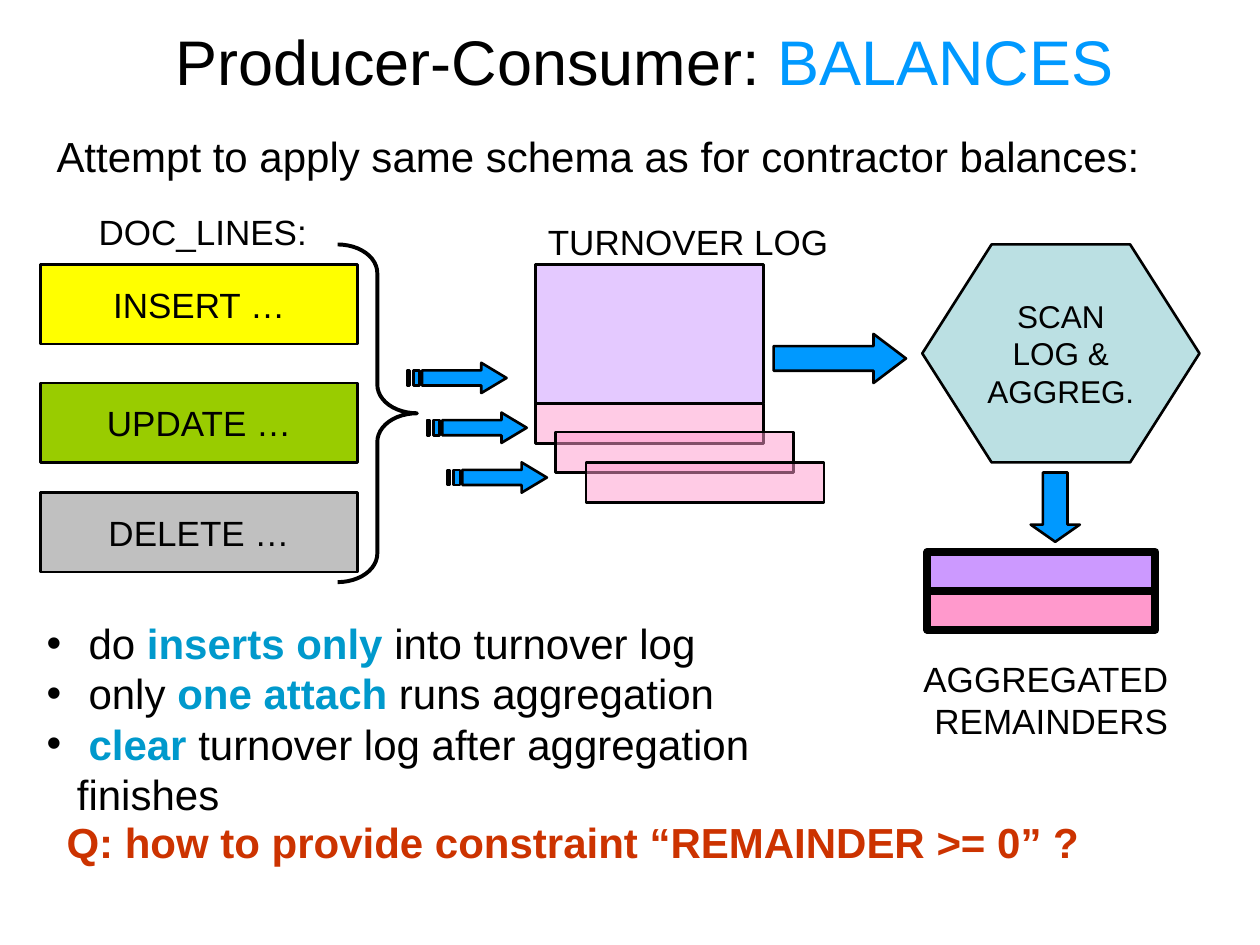
"""Build the producer-consumer slide about balances."""
from dataclasses import dataclass
from typing import Optional

from lxml.etree import SubElement
from pptx import Presentation
from pptx.dml.color import RGBColor
from pptx.enum.shapes import MSO_SHAPE
from pptx.enum.text import MSO_ANCHOR, MSO_AUTO_SIZE, PP_ALIGN
from pptx.oxml.ns import qn
from pptx.util import Inches, Pt

COLUMNS, ROWS = 100, 75
CELL = Inches(10) // COLUMNS


@dataclass(frozen=True)
class Theme:
    font: str = "Arial"
    title: int = 36
    body: int = 24
    label: int = 20
    small: int = 18
    leading: float = 1.2
    line: float = 1.5
    ink: str = "000000"
    blue: str = "0099FF"
    accent: str = "0099CC"
    question: str = "CC3300"
    yellow: str = "FFFF00"
    green: str = "99CC00"
    gray: str = "C0C0C0"
    violet: str = "CC99FF"
    pink: str = "FF99CC"
    teal: str = "BBE0E3"


THEME = Theme()


@dataclass(frozen=True)
class Area:
    column: float
    row: float
    columns: float
    rows: float

    def lengths(self) -> tuple:
        return tuple(round(n * CELL) for n in (self.column, self.row, self.columns, self.rows))


@dataclass(frozen=True)
class Span:
    text: str
    color: str = THEME.ink
    bold: bool = False


@dataclass(frozen=True)
class Figure:
    kind: MSO_SHAPE
    area: Area
    fill: Optional[str] = None
    opacity: int = 100
    line: float = THEME.line
    adjustments: tuple = ()
    lines: tuple = ()
    size: int = THEME.label
    wrap: bool = False


@dataclass(frozen=True)
class Label:
    text: str
    area: Area
    size: int = THEME.label
    align: PP_ALIGN = PP_ALIGN.LEFT
    color: str = THEME.ink
    bold: bool = False


BOX = MSO_SHAPE.RECTANGLE
STATEMENTS = (
    ("INSERT …", 21, THEME.yellow),
    ("UPDATE …", 30.4, THEME.green),
    ("DELETE …", 39.1, THEME.gray),
)
SLIPS = ((44.1, 34.3), (46.5, 36.7))
FIGURES = (
    *(Figure(BOX, Area(3.2, row, 25.2, 6.3), fill, lines=(text,)) for text, row, fill in STATEMENTS),
    Figure(MSO_SHAPE.RIGHT_BRACE, Area(26.8, 19.4, 6.3, 26.8), line=2.25, adjustments=(0.36, 0.5)),
    Figure(BOX, Area(42.5, 21, 18.1, 11), THEME.violet, 53),
    Figure(BOX, Area(42.5, 32, 18.1, 3.2), THEME.pink, 51),
    Figure(MSO_SHAPE.RIGHT_ARROW, Area(61.4, 26.5, 10.5, 3.9), THEME.blue, adjustments=(0.5, 0.66)),
    Figure(MSO_SHAPE.HEXAGON, Area(73.2, 19.4, 22, 17.3), THEME.teal, adjustments=(0.318, 1.155),
           lines=("SCAN LOG &", "AGGREG."), size=THEME.small, wrap=True),
    Figure(MSO_SHAPE.DOWN_ARROW, Area(81.8, 37.5, 3.9, 5.5), THEME.blue, adjustments=(0.5, 0.35)),
    *(Figure(BOX, Area(73.6, 43.8 + 3.1 * index, 18.1, 3.1), fill, line=4.5)
      for index, fill in enumerate((THEME.violet, THEME.pink))),
    *(Figure(BOX, Area(column, row, 18.9, 3.2), THEME.pink, 51) for column, row in SLIPS),
)
LABELS = (
    Label("DOC_LINES:", Area(4.3, 16.2, 23.6, 4.4), align=PP_ALIGN.CENTER),
    Label("TURNOVER LOG", Area(42.5, 17, 30.7, 4.4)),
    Label("AGGREGATED REMAINDERS", Area(71.3, 51.7, 22.4, 7.7), align=PP_ALIGN.RIGHT),
    Label("Attempt to apply same schema as for contractor balances:",
          Area(3.5, 9.9, 88.2, 5), THEME.body),
    Label("Q: how to provide constraint “REMAINDER >= 0” ?",
          Area(4.3, 64.3, 84.3, 5), THEME.body, color=THEME.question, bold=True),
)
TITLE = (Span("Producer-Consumer: "), Span("BALANCES", THEME.blue))
BULLETS = (
    (Span(" do "), Span("inserts only", THEME.accent, True), Span(" into turnover log")),
    (Span(" only "), Span("one attach", THEME.accent, True), Span(" runs aggregation")),
    (Span(" "), Span("clear", THEME.accent, True), Span(" turnover log after aggregation finishes")),
)
STRIPED_ARROW = (
    ((59, 0), (59, 6), (12, 6), (12, 18), (59, 18), (59, 24), (79, 12)),
    ((5, 6), (5, 18), (10, 18), (10, 6)),
    ((0, 6), (0, 18), (2, 18), (2, 6)),
)


def write(frame, paragraphs: tuple, size: int, align: PP_ALIGN) -> None:
    """Fill a text frame with paragraphs of spans."""
    for index, spans in enumerate(paragraphs):
        para = frame.paragraphs[0] if index == 0 else frame.add_paragraph()
        para.alignment = align
        para.space_before = Pt(0)
        para.line_spacing = Pt(size * THEME.leading)
        for span in spans:
            run = para.add_run()
            run.text = span.text
            run.font.name = THEME.font
            run.font.size = Pt(size)
            run.font.bold = span.bold
            run.font.color.rgb = RGBColor.from_string(span.color)


def paint(shape, fill: Optional[str], line: float, opacity: int = 100) -> None:
    """Give a shape its fill and outline without a shadow."""
    shape.shadow.inherit = False
    shape.line.color.rgb = RGBColor.from_string(THEME.ink)
    shape.line.width = Pt(line)
    if fill is None:
        shape.fill.background()
        return
    shape.fill.solid()
    shape.fill.fore_color.rgb = RGBColor.from_string(fill)
    if opacity < 100:
        color = shape.fill._xPr.find(qn("a:solidFill")).find(qn("a:srgbClr"))
        SubElement(color, qn("a:alpha")).set("val", str(opacity * 1000))


def draw_figure(page, figure: Figure) -> None:
    """Draw one preset shape with its text."""
    shape = page.shapes.add_shape(figure.kind, *figure.area.lengths())
    for index, value in enumerate(figure.adjustments):
        shape.adjustments[index] = value
    paint(shape, figure.fill, figure.line, figure.opacity)
    if figure.lines:
        shape.text_frame.word_wrap = figure.wrap
        shape.text_frame.vertical_anchor = MSO_ANCHOR.MIDDLE
        write(shape.text_frame, tuple((Span(text),) for text in figure.lines), figure.size, PP_ALIGN.CENTER)


def draw_striped_arrow(page, column: float, row: float) -> None:
    """Draw one arrow with a striped tail."""
    first, *others = STRIPED_ARROW
    builder = page.shapes.build_freeform(*first[0], scale=CELL / 10)
    builder.add_line_segments(first[1:], close=True)
    for outline in others:
        builder.move_to(*outline[0])
        builder.add_line_segments(outline[1:], close=True)
    paint(builder.convert_to_shape(round(column * CELL), round(row * CELL)), THEME.blue, THEME.line)


def draw_label(page, label: Label) -> None:
    """Draw one wrapping text box."""
    box = page.shapes.add_textbox(*label.area.lengths())
    box.text_frame.word_wrap = True
    write(box.text_frame, ((Span(label.text, label.color, label.bold),),), label.size, label.align)


def fill_placeholder(holder, area: Area, paragraphs: tuple, size: int,
                     align: PP_ALIGN, anchor: MSO_ANCHOR) -> None:
    """Move a placeholder and fill it with text."""
    holder.left, holder.top, holder.width, holder.height = area.lengths()
    holder.text_frame.word_wrap = True
    holder.text_frame.auto_size = MSO_AUTO_SIZE.NONE
    holder.text_frame.vertical_anchor = anchor
    write(holder.text_frame, paragraphs, size, align)


def main() -> None:
    """Build and save the deck."""
    deck = Presentation()
    deck.slide_width, deck.slide_height = COLUMNS * CELL, ROWS * CELL
    page = deck.slides.add_slide(deck.slide_layouts[1])
    title, body = page.placeholders
    fill_placeholder(title, Area(5.1, 2.1, 92.1, 5.4), (TITLE,), THEME.title,
                     PP_ALIGN.CENTER, MSO_ANCHOR.MIDDLE)
    fill_placeholder(body, Area(2.7, 48.5, 69.3, 13), BULLETS, THEME.body,
                     PP_ALIGN.LEFT, MSO_ANCHOR.TOP)
    hanging = round(2.4 * CELL)
    for para in body.text_frame.paragraphs:
        properties = para._p.get_or_add_pPr()
        properties.set("marL", str(hanging))
        properties.set("indent", str(-hanging))
    for figure in FIGURES:
        draw_figure(page, figure)
    for index in range(3):
        draw_striped_arrow(page, 32.3 + 1.6 * index, 28.8 + 3.95 * index)
    for label in LABELS:
        draw_label(page, label)
    deck.save("out.pptx")


if __name__ == "__main__":
    main()
